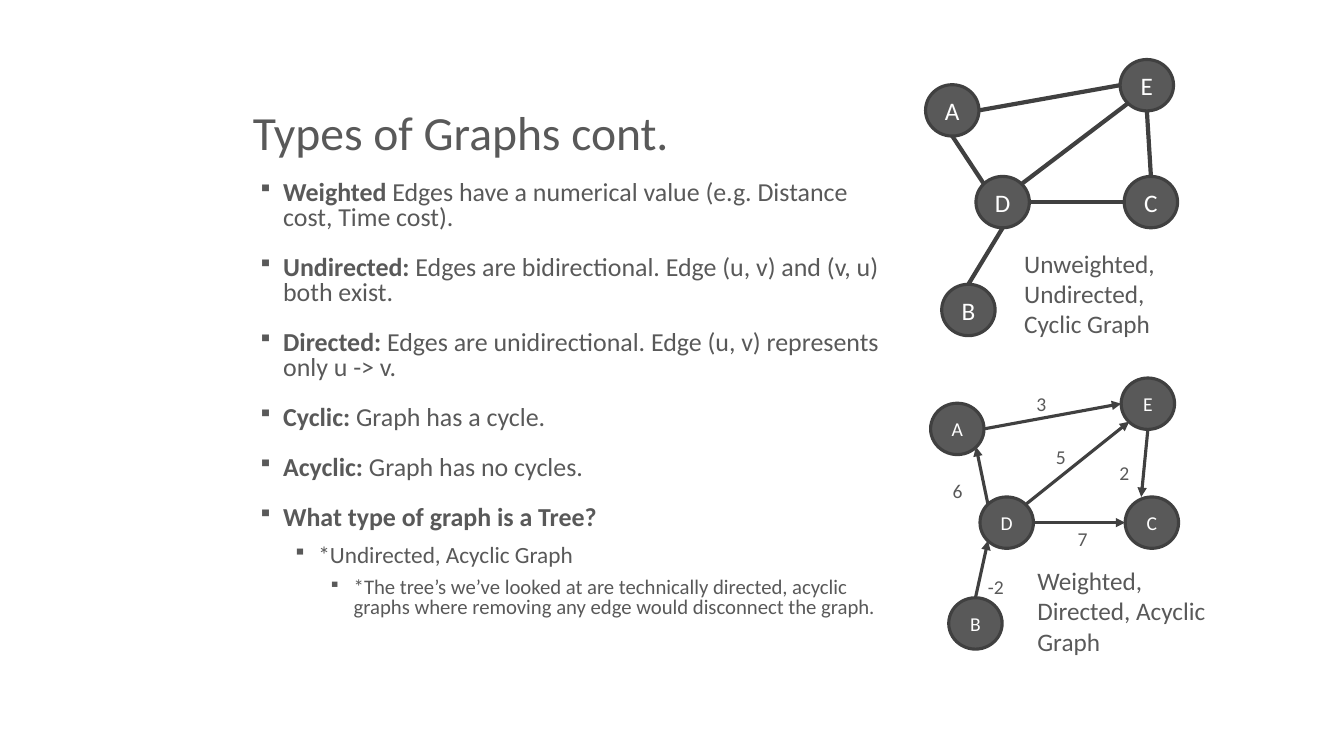
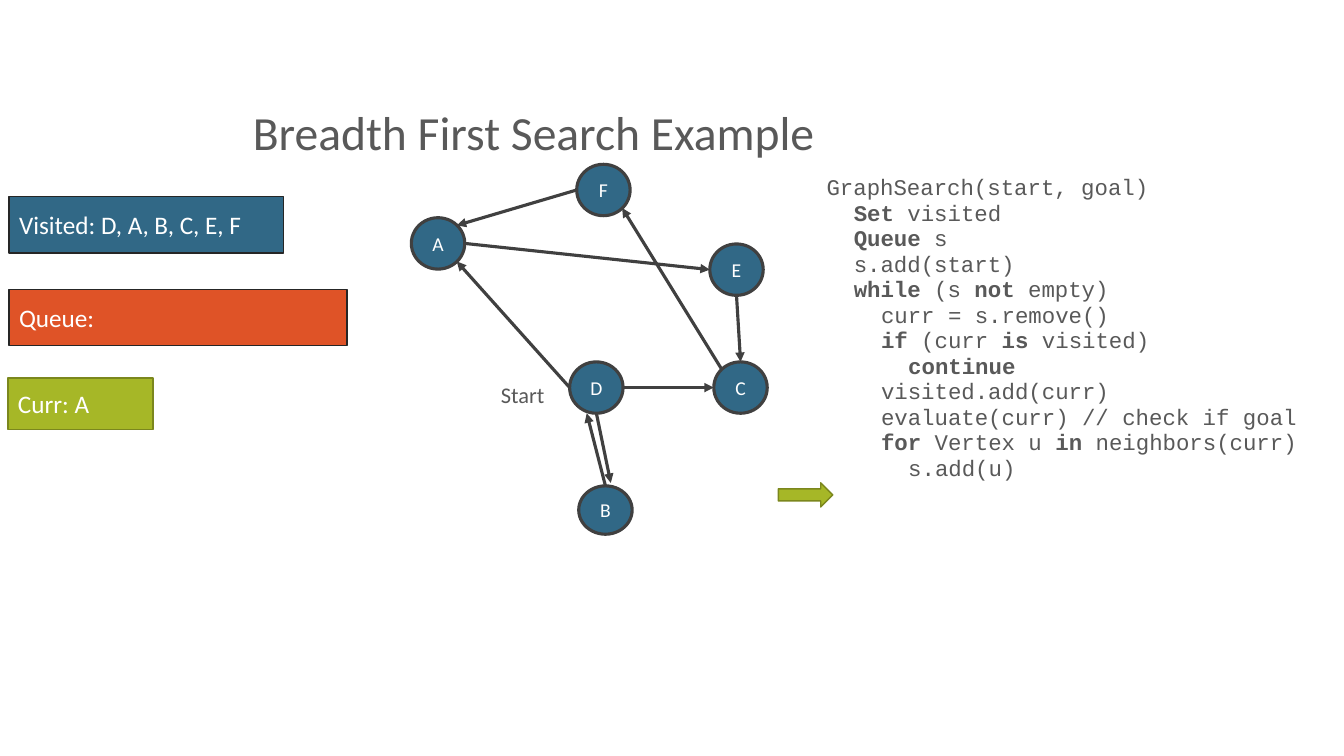
from pptx import Presentation
from pptx.dml.color import RGBColor
from pptx.enum import shapes, text
from pptx.oxml import xmlchemy, ns
from pptx.util import Inches, Pt
from lxml import etree

# Shared style
GREY, DARK, WHITE = "595959", "404040", "FFFFFF"
BLUE, ORANGE, GREEN, OLIVE, BLACK = "316886", "DF5327", "A6B727", "7B871D", "262626"
SANS, MONO = "Calibri", "Courier New"
TITLE_BOX = (2.41, 0.33, 10.25, 1.31)
NODE_WIDTH, NODE_HEIGHT = 0.53, 0.51
CODE_INDENT = 0.27

# Points on a node's outline, as fractions of its width and height
SITES = {
    "top": (0.5, 0), "bottom": (0.5, 1), "left": (0, 0.5), "right": (1, 0.5),
    "top left": (0.15, 0.15), "top right": (0.85, 0.15),
    "bottom left": (0.15, 0.85), "bottom right": (0.85, 0.85),
}


def color(value):
    return RGBColor.from_string(value)


def inches(*lengths):
    return [Inches(length) for length in lengths]


def add_element(parent, tag, **attributes):
    return etree.SubElement(parent, ns.qn(tag), attributes)


def write(paragraph, content, size=18, font=SANS, fill=GREY, align=None,
          spacing=None, before=0, margin=0, hanging=0, bullet=None):
    """Fill a paragraph; parts between ** marks are bold."""
    for index, part in enumerate(content.split("**")):
        if part:
            run = paragraph.add_run()
            run.text = part
            run.font.size, run.font.name = Pt(size), font
            run.font.bold = index % 2 == 1
            run.font.color.rgb = color(fill)
    paragraph.alignment = align
    paragraph.line_spacing = spacing
    paragraph.space_before = Pt(before)
    properties = paragraph._p.get_or_add_pPr()
    properties.set("marL", str(Inches(margin)))
    properties.set("indent", str(Inches(-hanging)))
    if bullet:
        add_element(properties, "a:buSzPct", val="80000")
        add_element(properties, "a:buChar", char=bullet)


def add_text(slide, box, lines, anchor=text.MSO_ANCHOR.TOP):
    """Place a text box; lines holds (content, format) pairs."""
    frame = slide.shapes.add_textbox(*inches(*box)).text_frame
    frame.word_wrap = True
    frame.vertical_anchor = anchor
    for index, (content, style) in enumerate(lines):
        paragraph = frame.add_paragraph() if index else frame.paragraphs[0]
        write(paragraph, content, **style)


def add_block(slide, kind, box, fill, outline, width=1):
    shape = slide.shapes.add_shape(kind, *inches(*box))
    shape.shadow.inherit = False
    shape.fill.solid()
    shape.fill.fore_color.rgb = color(fill)
    shape.line.color.rgb = color(outline)
    shape.line.width = Pt(width)
    shape.text_frame.vertical_anchor = text.MSO_ANCHOR.MIDDLE
    return shape


def add_label_block(slide, box, label, fill, outline):
    shape = add_block(slide, shapes.MSO_SHAPE.RECTANGLE, box, fill, outline)
    write(shape.text_frame.paragraphs[0], label, fill=WHITE, align=text.PP_ALIGN.LEFT)


def add_edge(slide, start, end, width, arrow):
    line = slide.shapes.add_connector(shapes.MSO_CONNECTOR.STRAIGHT, *inches(*start, *end))
    line.line.color.rgb = color(DARK)
    line.line.width = Pt(width)
    if arrow:
        add_element(line.line._get_or_add_ln(), "a:tailEnd", type="triangle")
    add_element(line._element.spPr, "a:effectLst")


def add_graph(slide, left, top, nodes, edges, weights=(), fill=GREY, size=14,
              edge_width=2.25, arrow=True, heights=None):
    """Draw a graph whose node and weight places are offsets from left, top."""
    boxes = {}
    for name, (x, y) in nodes.items():
        height = (heights or {}).get(name, NODE_HEIGHT)
        boxes[name] = (left + x, top + y, NODE_WIDTH, height)
        node = add_block(slide, shapes.MSO_SHAPE.OVAL, boxes[name], fill, DARK, 2.25)
        frame = node.text_frame
        frame.margin_left = frame.margin_right = 0
        write(frame.paragraphs[0], name, size=size, fill=WHITE, align=text.PP_ALIGN.CENTER)

    def site(name, place):
        x, y, width, height = boxes[name]
        across, down = SITES.get(place, place)
        return x + across * width, y + down * height

    for source, leaving, target, entering in edges:
        add_edge(slide, site(source, leaving), site(target, entering), edge_width, arrow)
    for label, x, y, width in weights:
        add_text(slide, (left + x, top + y, width, 0.25), [(label, {"size": 14})])


def add_title(slide, title):
    add_text(slide, TITLE_BOX, [(title, {"size": 34, "spacing": 0.9})],
             text.MSO_ANCHOR.BOTTOM)


def add_bullets(slide, box, items):
    """Place a bulleted list; items holds (level, content) pairs."""
    levels = [(18.5, 18), (16.6, 10), (14.8, 8)]
    lines = []
    for level, content in items:
        size, before = levels[level]
        lines.append((content, {
            "size": size, "before": before, "spacing": 0.8, "bullet": "▪",
            "margin": 0.3 + 0.35 * level, "hanging": 0.25}))
    add_text(slide, box, lines)


def add_code(slide, box, code):
    """Place code; code holds (depth, content) pairs."""
    add_text(slide, box, [
        (content, {"size": 16, "font": MONO, "spacing": 0.95,
                   "margin": 0.05 + CODE_INDENT * depth})
        for depth, content in code])


def build_graph_types(slide):
    add_title(slide, "Types of Graphs cont.")
    add_bullets(slide, (2.41, 1.75, 6.58, 4.9), [
        (0, "**Weighted **Edges have a numerical value (e.g. Distance cost, Time cost)."),
        (0, "**Undirected: **Edges are bidirectional. Edge (u, v) and (v, u) both exist."),
        (0, "**Directed: **Edges are unidirectional. Edge (u, v) represents only u -> v."),
        (0, "**Cyclic: **Graph has a cycle."),
        (0, "**Acyclic: **Graph has no cycles."),
        (0, "**What type of graph is a Tree?**"),
        (1, "*Undirected, Acyclic Graph"),
        (2, "*The tree’s we’ve looked at are technically directed, acyclic graphs "
            "where removing any edge would disconnect the graph."),
    ])

    # Undirected graph
    add_graph(
        slide, 9.18, 0.59,
        {"A": (0, 0.25), "C": (1.97, 1.16), "B": (0.16, 2.23), "D": (0.5, 1.16), "E": (1.93, 0)},
        [("A", "bottom", "D", "top left"), ("B", "top", "D", "bottom"),
         ("C", "left", "D", "right"), ("C", "top", "E", "bottom"),
         ("A", "right", "E", "left"), ("D", "top right", "E", "bottom left")],
        size=18, edge_width=3, arrow=False)

    # Directed graph with weights
    add_graph(
        slide, 9.23, 3.75,
        {"A": (0, 0.25), "C": (1.93, 1.18), "B": (0.18, 2.18), "D": (0.49, 1.18), "E": (1.89, 0)},
        [("B", "top", "D", "bottom left"), ("D", "top left", "A", "bottom right"),
         ("A", "right", "E", "left"), ("D", "top right", "E", "bottom left"),
         ("E", "bottom", "C", (0.3, 0)), ("D", "right", "C", "left")],
        [("3", 0.95, 0.09, 0.21), ("6", 0.12, 0.95, 0.21), ("5", 1.17, 0.61, 0.17),
         ("7", 1.36, 1.43, 0.21), ("-2", 0.47, 1.9, 0.41), ("2", 1.82, 0.77, 0.15)])

    # Captions
    for left, top, caption in [(10.06, 2.41, "Unweighted, Undirected, Cyclic Graph"),
                               (10.19, 5.56, "Weighted, Directed, Acyclic Graph")]:
        add_text(slide, (left, top, 1.95, 1.01), [(caption, {})])


def build_search_example(slide):
    add_title(slide, "Breadth First Search Example")
    add_code(slide, (8.05, 1.69, 5.47, 4.5), [
        (0, "GraphSearch(start, goal)"),
        (1, "**Set** visited"),
        (1, "**Queue** s"),
        (1, "s.add(start)"),
        (1, "**while** (s **not** empty)"),
        (2, "curr = s.remove()"),
        (2, "**if** (curr **is** visited)"),
        (3, "**continue**"),
        (2, "visited.add(curr)"),
        (2, "evaluate(curr) // check if goal"),
        (2, "**for** Vertex u **in** neighbors(curr)"),
        (3, "s.add(u)"),
    ])

    # Searched graph
    add_graph(
        slide, 4.08, 1.63,
        {"A": (0, 0.53), "C": (3, 1.96), "D": (1.57, 1.96), "E": (2.96, 0.79),
         "F": (1.64, 0), "B": (1.66, 3.19)},
        [("D", "bottom", "B", (0.6, -0.06)), ("F", "left", "A", "top right"),
         ("A", "right", "E", "left"), ("E", "bottom", "C", "top"),
         ("D", "right", "C", "left"), ("D", "left", "A", "bottom right"),
         ("B", "top", "D", (0.32, 1)), ("C", "top left", "F", "bottom right")],
        fill=BLUE, heights={"B": 0.48})
    add_text(slide, (4.87, 3.73, 0.79, 0.37), [("Start", {"size": 16})])

    # Search state
    add_label_block(slide, (0.09, 1.95, 2.72, 0.56), "Visited: D, A, B, C, E, F", BLUE, BLACK)
    add_label_block(slide, (0.09, 2.87, 3.35, 0.56), "Queue:", ORANGE, BLACK)
    add_label_block(slide, (0.08, 3.75, 1.44, 0.51), "Curr: A", GREEN, OLIVE)

    # Marker of the current code line
    add_block(slide, shapes.MSO_SHAPE.RIGHT_ARROW, (7.72, 4.79, 0.54, 0.24), GREEN, OLIVE)


def main():
    presentation = Presentation()
    presentation.slide_width, presentation.slide_height = inches(13.33, 7.5)
    for build in (build_graph_types, build_search_example):
        build(presentation.slides.add_slide(presentation.slide_layouts[6]))
    presentation.save("out.pptx")


if __name__ == "__main__":
    main()
